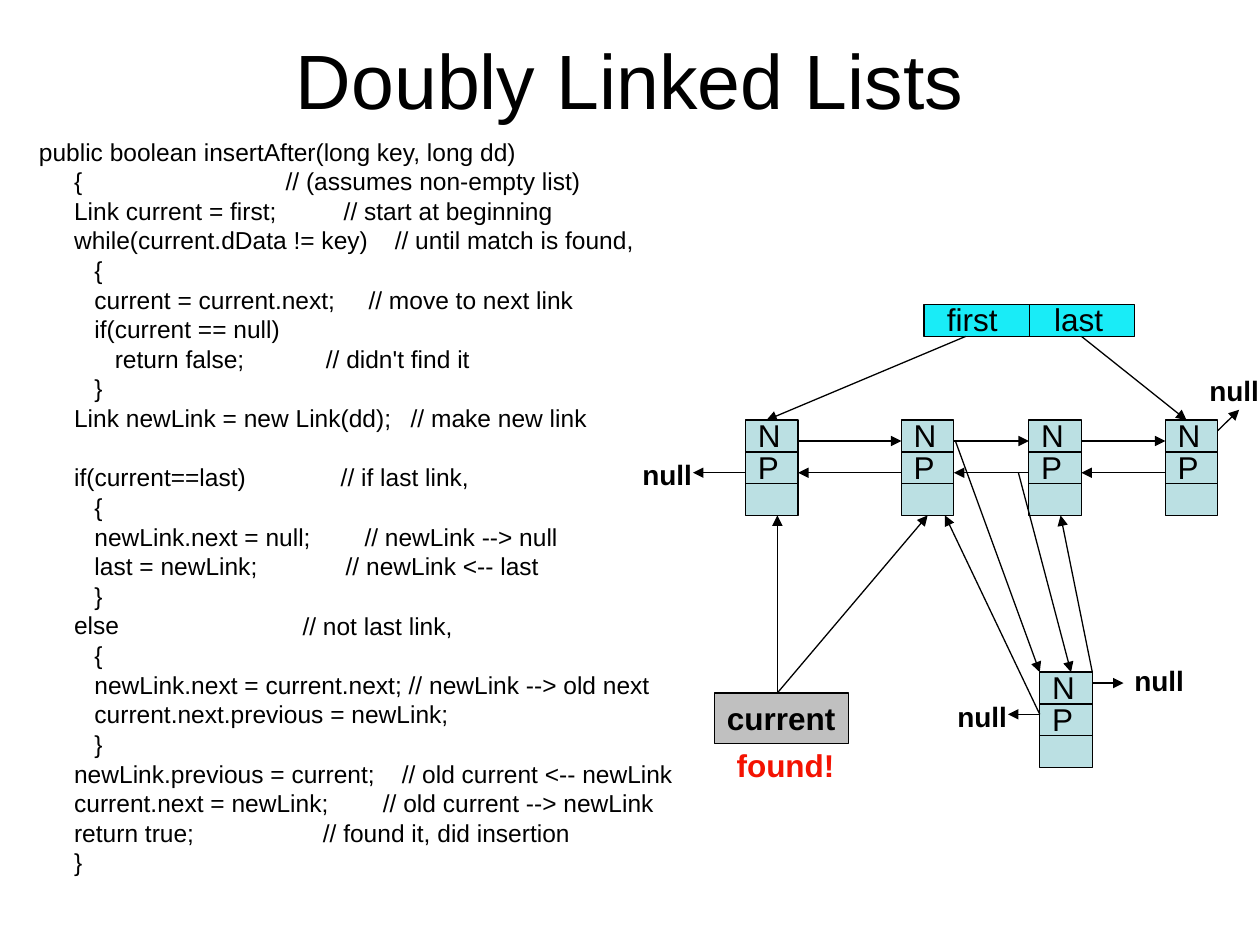
from lxml import etree
from pptx import Presentation
from pptx.dml.color import RGBColor
from pptx.enum.shapes import MSO_CONNECTOR, MSO_SHAPE
from pptx.enum.text import MSO_ANCHOR, MSO_AUTO_SIZE, PP_ALIGN
from pptx.oxml.ns import qn
from pptx.util import Cm, Pt

STRAIGHT = MSO_CONNECTOR.STRAIGHT
RECTANGLE = MSO_SHAPE.RECTANGLE
MIDDLE = MSO_ANCHOR.MIDDLE
CENTER, LEFT = PP_ALIGN.CENTER, PP_ALIGN.LEFT
NO_AUTOFIT = MSO_AUTO_SIZE.NONE
BOTTOM = 2

THEME = {
    "font": "Arial", "title": 44, "code": 14, "label": 18, "null": 16,
    "ink": "000000", "node": "BBE0E3", "ends": "19ECF7",
    "current": "C0C0C0", "found": "F41302", "line": 0.75,
}

TITLE = "Doubly Linked Lists"
CODE = [
    (0, "public boolean insertAfter(long key, long dd)"),
    (1, "{", 5.08, "// (assumes non-empty list)"),
    (1, "Link current = first;", 6.25, "// start at beginning"),
    (1, "while(current.dData != key)", 7.28, "// until match is found,"),
    (2, "{"),
    (2, "current = current.next;", 6.75, "// move to next link"),
    (2, "if(current == null)"),
    (3, "return false;", 5.89, "// didn't find it"),
    (2, "}"),
    (1, "Link newLink = new Link(dd);", 7.6, "// make new link"),
    None,
    (1, "if(current==last)", 6.19, "// if last link,"),
    (2, "{"),
    (2, "newLink.next = null;", 6.67, "// newLink --> null"),
    (2, "last = newLink;", 6.29, "// newLink <-- last"),
    (2, "}"),
    (1, "else", 5.42, "// not last link,"),
    (2, "{"),
    (2, "newLink.next = current.next;", 7.56, "// newLink --> old next"),
    (2, "current.next.previous = newLink;"),
    (2, "}"),
    (1, "newLink.previous = current;", 7.42, "// old current <-- newLink"),
    (1, "current.next = newLink;", 7.04, "// old current --> newLink"),
    (1, "return true;", 5.83, "// found it, did insertion"),
    (1, "}"),
]
INDENTS = (0.1, 0.81, 1.22, 1.63)
LINE_GAP, LINE_PITCH = 3.5, 16.93
CODE_LEFT, CODE_TOP, CODE_WIDTH, CODE_HEIGHT = 0.43, 2.74, 22.86, 15.67

NODE_WIDTH, ROW_HEIGHT = 1.06, 0.64
NODE_HEIGHT = 3 * ROW_HEIGHT
NEXT_ROW, PREVIOUS_ROW = 0.42, 1.06
LIST_TOP = 8.47
LIST_LEFTS = (15.03, 18.17, 20.74, 23.49)
NEW_LEFT, NEW_TOP = 20.96, 13.55
ENDS_LEFT, ENDS_TOP, ENDS_WIDTH = 18.63, 6.14, 4.24

NULLS = [(12.7, 9.1), (24.13, 7.41), (22.62, 13.26), (19.05, 13.97)]
END_LABELS = [("first", 18.84, 1.53), ("last", 21.0, 1.5)]
CURRENT_BOX = (14.4, 13.97, 2.7, 1.02)
FOUND_BOX = (14.6, 14.92, 2.7, 1.02)
CURRENT_TOP = (15.67, 13.97)

NEXT_Y, PREVIOUS_Y = LIST_TOP + NEXT_ROW, LIST_TOP + PREVIOUS_ROW
LIST_BOTTOM = LIST_TOP + NODE_HEIGHT
ENDS_BOTTOM = ENDS_TOP + ROW_HEIGHT
NEW_RIGHT, NEW_PREVIOUS = NEW_LEFT + NODE_WIDTH, NEW_TOP + 0.85
POINTERS = [
    ((LIST_LEFTS[0], PREVIOUS_Y), (13.97, PREVIOUS_Y)),
    ((LIST_LEFTS[3] + NODE_WIDTH, 8.68), (24.98, 8.26)),
    ((19.47, ENDS_BOTTOM), (15.45, LIST_TOP)),
    ((21.8, ENDS_BOTTOM), (23.92, LIST_TOP)),
    (CURRENT_TOP, (CURRENT_TOP[0], LIST_BOTTOM)),
    ((NEW_RIGHT, NEW_TOP + 0.22), (22.65, NEW_TOP + 0.22)),
    ((NEW_LEFT, NEW_PREVIOUS), (20.32, NEW_PREVIOUS)),
    ((NEW_RIGHT, NEW_TOP), (21.38, LIST_BOTTOM)),
    ((20.53, PREVIOUS_Y), (21.59, NEW_TOP)),
    ((NEW_LEFT, NEW_PREVIOUS), (19.05, LIST_BOTTOM)),
    ((19.26, NEXT_Y), (NEW_LEFT, NEW_TOP)),
]


def color(name):
    return RGBColor.from_string(THEME[name])


def style(para, size, ink="ink", bold=False):
    font = para.font
    font.name, font.size, font.bold = THEME["font"], Pt(THEME[size]), bold
    font.color.rgb = color(ink)


def line(shapes, start, end, arrow=True):
    connector = shapes.add_connector(STRAIGHT, *map(Cm, start + end))
    connector.line.color.rgb = color("ink")
    connector.line.width = Pt(THEME["line"])
    if arrow:
        etree.SubElement(connector.line._get_or_add_ln(), qn("a:tailEnd"), type="triangle")
    etree.SubElement(connector._element.spPr, qn("a:effectLst"))
    return connector


def rectangle(shapes, frame, fill):
    box = shapes.add_shape(RECTANGLE, *map(Cm, frame))
    box.shadow.inherit = False
    box.fill.solid()
    box.fill.fore_color.rgb = color(fill)
    box.line.color.rgb = color("ink")
    box.line.width = Pt(THEME["line"])
    return box


def write(box, text, size="label", ink="ink", bold=False):
    box.text_frame.word_wrap = False
    para = box.text_frame.paragraphs[0]
    para.text = text
    style(para, size, ink, bold)


def label(shapes, frame, text, **look):
    write(shapes.add_textbox(*map(Cm, frame)), text, **look)


def node(page, left, top):
    shapes = page.shapes.add_group_shape().shapes
    box = rectangle(shapes, (left, top, NODE_WIDTH, NODE_HEIGHT), "node")
    for row, letter in enumerate("NP"):
        y = top + (row + 1) * ROW_HEIGHT
        line(shapes, (left, y), (left + NODE_WIDTH, y), arrow=False)
        label(shapes, (left, top - 0.21 + row * ROW_HEIGHT, 0.95, 1.02), letter)
    return box


def fill_title(page):
    title = page.shapes.title
    title.left, title.top, title.width, title.height = map(Cm, (1.27, 0, 22.86, 3.18))
    title.text_frame.vertical_anchor = MIDDLE
    para = title.text_frame.paragraphs[0]
    para.text, para.alignment = TITLE, CENTER
    style(para, "title")


def fill_lines(box, lines):
    frame = box.text_frame
    frame.word_wrap, frame.auto_size = True, NO_AUTOFIT
    first = previous = lines[0][0]
    for number, indent, text in lines:
        para = frame.paragraphs[0] if number == first else frame.add_paragraph()
        para.text, para.alignment, para.line_spacing = text, LEFT, 0.8
        skipped = max(number - previous - 1, 0)
        para.space_before = Pt(LINE_GAP + skipped * LINE_PITCH)
        previous = number
        properties = para._p.get_or_add_pPr()
        properties.set("marL", "0")
        properties.set("indent", str(Cm(indent)))
        etree.SubElement(properties, qn("a:buNone"))
        style(para, "code")


def fill_code(page):
    rows = [(number, *row) for number, row in enumerate(CODE) if row]
    code = [(row[0], INDENTS[row[1]], row[2]) for row in rows]
    comments = [(row[0], *row[3:]) for row in rows if row[3:]]
    body = page.placeholders[1]
    body.left, body.top = Cm(CODE_LEFT), Cm(CODE_TOP)
    body.width, body.height = Cm(CODE_WIDTH), Cm(CODE_HEIGHT)
    fill_lines(body, code)
    offset = Pt(LINE_PITCH * comments[0][0])
    notes = page.shapes.add_textbox(
        body.left, body.top + offset, body.width, body.height - offset)
    fill_lines(notes, comments)


def draw_list(page):
    shapes = page.shapes
    nodes = [node(page, left, LIST_TOP) for left in LIST_LEFTS]
    for left, right in zip(LIST_LEFTS, LIST_LEFTS[1:]):
        line(shapes, (left + NODE_WIDTH, NEXT_Y), (right, NEXT_Y))
        line(shapes, (right, PREVIOUS_Y), (left + NODE_WIDTH, PREVIOUS_Y))
    node(page, NEW_LEFT, NEW_TOP)
    rectangle(shapes, (ENDS_LEFT, ENDS_TOP, ENDS_WIDTH, ROW_HEIGHT), "ends")
    middle = ENDS_LEFT + ENDS_WIDTH / 2
    line(shapes, (middle, ENDS_TOP), (middle, ENDS_BOTTOM), arrow=False)
    for text, left, width in END_LABELS:
        label(shapes, (left, ENDS_TOP - 0.21, width, 1.02), text)
    for left, top in NULLS:
        label(shapes, (left, top, 1.5, 0.94), "null", size="null", bold=True)
    write(rectangle(shapes, CURRENT_BOX, "current"), "current", bold=True)
    label(shapes, FOUND_BOX, "found!", ink="found", bold=True)
    for start, end in POINTERS:
        line(shapes, start, end)
    line(shapes, (LIST_LEFTS[2], PREVIOUS_Y), (20.53, PREVIOUS_Y), arrow=False)
    found = line(shapes, CURRENT_TOP, (LIST_LEFTS[1], LIST_BOTTOM))
    found.end_connect(nodes[1], BOTTOM)


def main():
    deck = Presentation()
    deck.slide_width, deck.slide_height = Cm(25.4), Cm(19.05)
    page = deck.slides.add_slide(deck.slide_layouts[1])
    fill_title(page)
    fill_code(page)
    draw_list(page)
    deck.save("out.pptx")


if __name__ == "__main__":
    main()
